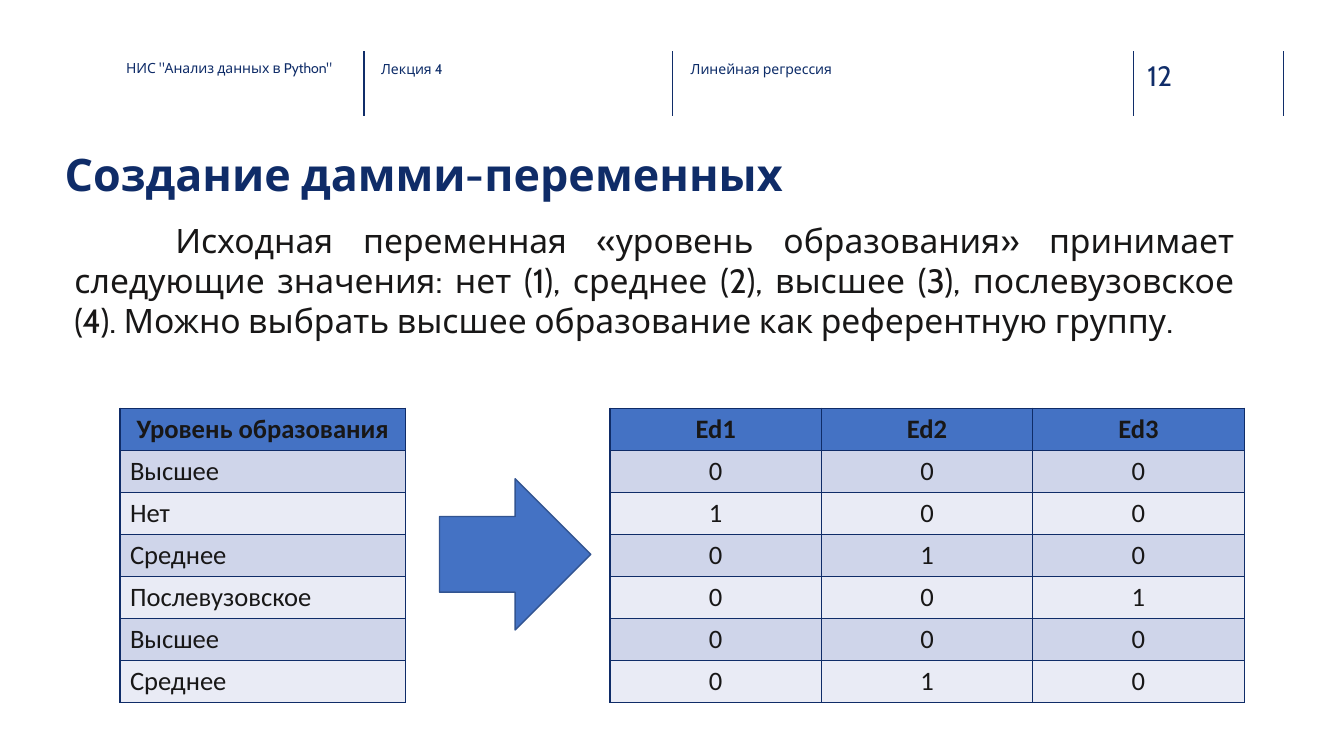
"""Builds the slide on dummy variables for education level."""
from lxml import etree
from pptx import Presentation
from pptx.dml.color import RGBColor
from pptx.enum.shapes import MSO_CONNECTOR, MSO_SHAPE
from pptx.enum.text import MSO_ANCHOR, PP_ALIGN
from pptx.oxml.ns import qn
from pptx.util import Inches, Pt

LEFT, MID, JUST = PP_ALIGN.LEFT, PP_ALIGN.CENTER, PP_ALIGN.JUSTIFY
TOP, CENTRE = MSO_ANCHOR.TOP, MSO_ANCHOR.MIDDLE
STRAIGHT, ARROW = MSO_CONNECTOR.STRAIGHT, MSO_SHAPE.RIGHT_ARROW

HEX = {"navy": "0F2C68", "rule": "102D69", "note": "0E2D69", "ink": "181717",
       "blue": "4472C4", "edge": "325491", "odd": "CFD5EA", "even": "E9EBF5"}

TITLE = "Создание дамми-переменных"
BODY = ("Исходная переменная «уровень образования» принимает следующие "
        "значения: нет (1), среднее (2), высшее (3), послевузовское (4). "
        "Можно выбрать высшее образование как референтную группу.")
HEADS = [
    ("НИС \"Анализ данных в Python\"", (1.25, 0.59, 2.21, 0.45), 10, "navy"),
    ("Лекция 4", (3.78, 0.6, 2.26, 0.45), 10, "note"),
    ("Линейная регрессия", (6.85, 0.6, 2.26, 0.45), 10, "note"),
    ("12", (11.38, 0.58, 0.73, 0.34), 20, "rule"),
]
RULES = [3.61, 6.67, 11.24, 12.73]
LEVELS = [["Уровень образования"], ["Высшее"], ["Нет"], ["Среднее"],
          ["Послевузовское"], ["Высшее"], ["Среднее"]]
CODES = {"Высшее": "000", "Нет": "100", "Среднее": "010",
         "Послевузовское": "001"}
DUMMIES = [["Ed1", "Ed2", "Ed3"]] + [list(CODES[row[0]]) for row in LEVELS[1:]]


def color(name):
    return RGBColor.from_string(HEX[name])


def write(frame, text, size=10, font="Cabin", hue="ink", bold=False,
          align=LEFT, anchor=TOP, inset=None):
    frame.word_wrap = True
    frame.vertical_anchor = anchor
    if inset is not None:
        frame.margin_left = frame.margin_right = Inches(inset)
        frame.margin_top = frame.margin_bottom = Inches(inset)
    para = frame.paragraphs[0]
    para.alignment = align
    run = para.add_run()
    run.text = text
    run.font.size = Pt(size)
    run.font.name = font
    run.font.bold = bold
    run.font.color.rgb = color(hue)
    return para


def box(slide, place):
    return slide.shapes.add_textbox(*map(Inches, place)).text_frame


def rule(slide, x):
    line = slide.shapes.add_connector(
        STRAIGHT, Inches(x), Inches(0.51), Inches(x), Inches(1.15))
    line.line.color.rgb = color("rule")
    line.line.width = Pt(1)
    etree.SubElement(line._element.spPr, qn("a:effectLst"))


def border(cell):
    props = cell._tc.get_or_add_tcPr()
    for side in ("lnL", "lnR", "lnT", "lnB"):
        line = etree.SubElement(props, qn("a:" + side), w=str(Pt(1)))
        fill = etree.SubElement(line, qn("a:solidFill"))
        etree.SubElement(fill, qn("a:srgbClr"), val=HEX["navy"])


def grid(slide, rows, x, width, align, anchor):
    count = len(rows[0])
    table = slide.shapes.add_table(
        len(rows), count, Inches(x), Inches(4.05),
        Inches(width), Inches(2.92)).table
    for col in table.columns:
        col.width = Inches(width / count)
    for r, row in enumerate(rows):
        head = r == 0
        shade = "blue" if head else "odd" if r % 2 else "even"
        for c, text in enumerate(row):
            cell = table.cell(r, c)
            border(cell)
            cell.fill.solid()
            cell.fill.fore_color.rgb = color(shade)
            write(cell.text_frame, text, size=19, font="Calibri", bold=head,
                  align=MID if head else align)
            cell.vertical_anchor = anchor


def main():
    deck = Presentation()
    deck.slide_width, deck.slide_height = Inches(13.33), Inches(7.5)
    slide = deck.slides.add_slide(deck.slide_layouts[5])

    for x in RULES:
        rule(slide, x)
    for text, place, size, hue in HEADS:
        write(box(slide, place), text, size=size, hue=hue, inset=0)

    title = slide.shapes.title
    title.left, title.top = Inches(0.64), Inches(1.46)
    title.width, title.height = Inches(12.09), Inches(0.85)
    write(title.text_frame, TITLE, size=32, hue="navy", bold=True, inset=0)

    para = write(box(slide, (0.64, 2.13, 11.7, 1.75)), BODY, size=24,
                 align=JUST)
    para._p.get_or_add_pPr().set("indent", str(Inches(1)))

    grid(slide, LEVELS, 1.19, 2.83, LEFT, TOP)
    grid(slide, DUMMIES, 6.05, 6.29, MID, CENTRE)

    arrow = slide.shapes.add_shape(
        ARROW, Inches(4.36), Inches(4.75), Inches(1.5), Inches(1.5))
    arrow.shadow.inherit = False
    arrow.fill.solid()
    arrow.fill.fore_color.rgb = color("blue")
    arrow.line.color.rgb = color("edge")
    arrow.line.width = Pt(1)

    deck.save("out.pptx")


if __name__ == "__main__":
    main()
